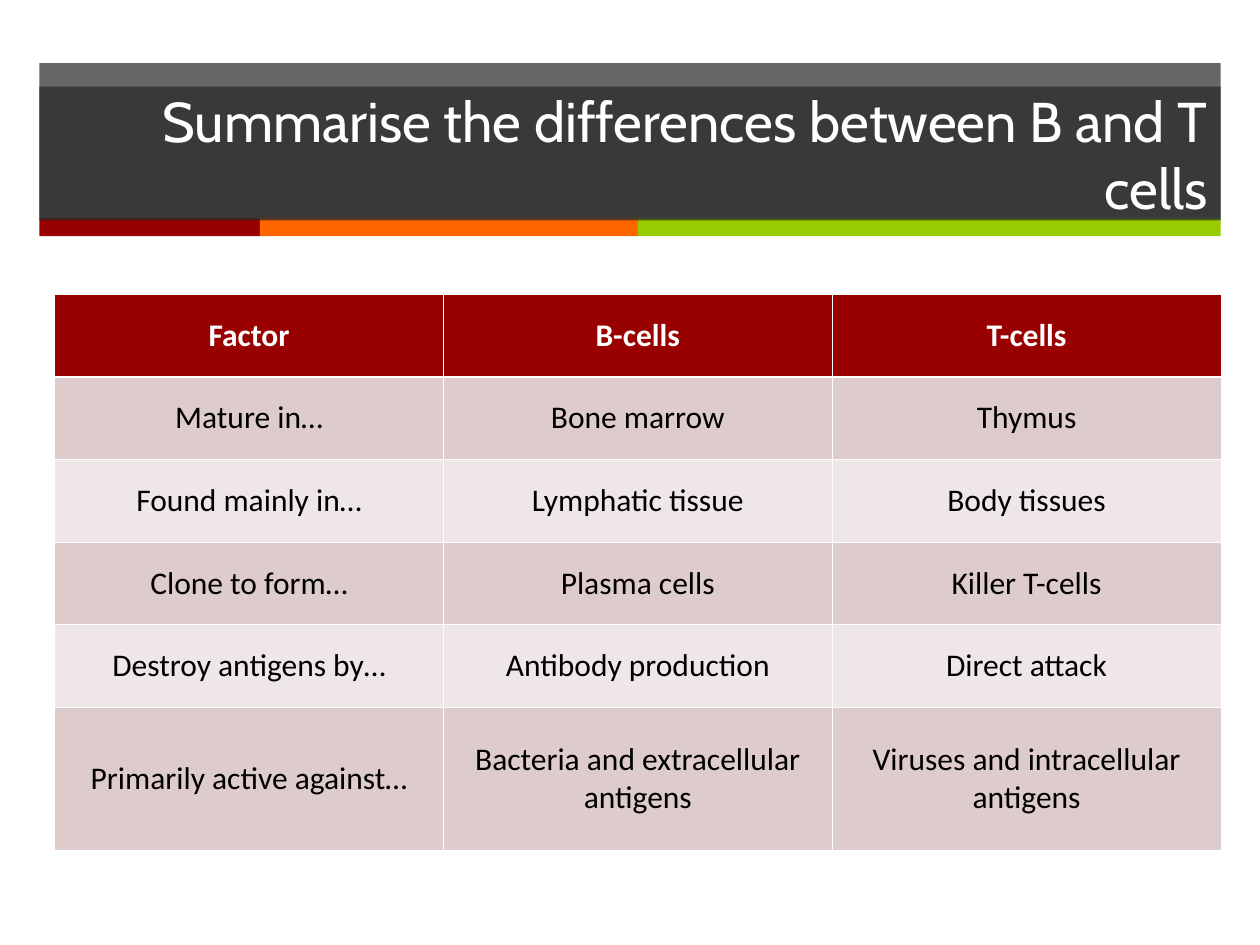
from lxml import etree
from pptx import Presentation
from pptx.dml.color import RGBColor
from pptx.enum.shapes import MSO_SHAPE
from pptx.enum.text import MSO_ANCHOR, PP_ALIGN
from pptx.oxml.ns import qn
from pptx.util import Pt

RECTANGLE = MSO_SHAPE.RECTANGLE
MIDDLE = MSO_ANCHOR.MIDDLE
CENTER, RIGHT = PP_ALIGN.CENTER, PP_ALIGN.RIGHT

WHITE = RGBColor(0xFF, 0xFF, 0xFF)
BLACK = RGBColor(0x00, 0x00, 0x00)
CHARCOAL = RGBColor(0x26, 0x26, 0x26)
RED = RGBColor(0x99, 0x00, 0x00)
ORANGE = RGBColor(0xFF, 0x66, 0x00)
GREEN = RGBColor(0x99, 0xCC, 0x00)
DARK_BAND = RGBColor(0xDE, 0xCB, 0xCB)
LIGHT_BAND = RGBColor(0xEF, 0xE7, 0xE7)

TITLE = "Summarise the differences between B and T cells"
COMPARISON = [
    ("Factor", "B-cells", "T-cells"),
    ("Mature in…", "Bone marrow", "Thymus"),
    ("Found mainly in…", "Lymphatic tissue", "Body tissues"),
    ("Clone to form…", "Plasma cells", "Killer T-cells"),
    ("Destroy antigens by…", "Antibody production", "Direct attack"),
    ("Primarily active against…", "Bacteria and extracellular antigens",
     "Viruses and intracellular antigens"),
]
THIN, THICK = 0.45, 1.47


def add_bar(slide, left, top, width, height, color, opacity=100):
    """Add a borderless rectangle; opacity is in percent."""
    bar = slide.shapes.add_shape(RECTANGLE, Pt(left), Pt(top), Pt(width), Pt(height))
    bar.shadow.inherit = False
    bar.line.fill.background()
    bar.fill.solid()
    bar.fill.fore_color.rgb = color
    if opacity < 100:
        srgb = bar.fill._xPr.find(f"{qn('a:solidFill')}/{qn('a:srgbClr')}")
        etree.SubElement(srgb, qn("a:alpha"), val=str(opacity * 1000))
    return bar


def style_text(text_frame, align, font_name, size, color, bold=False):
    paragraph = text_frame.paragraphs[0]
    paragraph.alignment = align
    font = paragraph.runs[0].font
    font.name = font_name
    font.size = Pt(size)
    font.color.rgb = color
    font.bold = bold


def add_title_banner(slide, left, top, width, height):
    """Stack two translucent panels, with a tricolour strip along their foot."""
    title_drop, strip_height = 13.5, 10.25
    strip_top = top + height - strip_height
    add_bar(slide, left, top, width, strip_top - top + 0.5, CHARCOAL, 70)

    strip_left = left
    for share, color in ((126, RED), (216, ORANGE), (333, GREEN)):
        strip_width = width * share / 675
        add_bar(slide, strip_left, strip_top, strip_width, strip_height, color)
        strip_left += strip_width

    title = add_bar(slide, left, top + title_drop, width,
                    strip_top - top - title_drop + 1.25, CHARCOAL, 70)
    title.text_frame.text = TITLE
    title.text_frame.word_wrap = True
    title.text_frame.vertical_anchor = MIDDLE
    style_text(title.text_frame, RIGHT, "Cabin", 32, WHITE)


def add_cell_borders(cell, top, bottom):
    """Draw white borders; must run before the cell is filled."""
    properties = cell._tc.get_or_add_tcPr()
    for side, width in (("L", THIN), ("R", THIN), ("T", top), ("B", bottom)):
        line = etree.SubElement(properties, qn(f"a:ln{side}"), w=str(Pt(width)))
        fill = etree.SubElement(line, qn("a:solidFill"))
        etree.SubElement(fill, qn("a:srgbClr"), val=str(WHITE))


def add_comparison_table(slide, left, top, width, height):
    row_count, column_count = len(COMPARISON), len(COMPARISON[0])
    row_height = 47.25
    table = slide.shapes.add_table(row_count, column_count, Pt(left), Pt(top),
                                   Pt(width), Pt(height)).table
    for column in table.columns:
        column.width = Pt(width / column_count)
    for row in table.rows:
        row.height = Pt(row_height)
    table.rows[row_count - 1].height = Pt(height - row_height * (row_count - 1))

    for r, entries in enumerate(COMPARISON):
        is_header = r == 0
        band = RED if is_header else DARK_BAND if r % 2 else LIGHT_BAND
        for c, entry in enumerate(entries):
            cell = table.cell(r, c)
            add_cell_borders(cell, THICK if r == 1 else THIN,
                             THICK if is_header else THIN)
            cell.fill.solid()
            cell.fill.fore_color.rgb = band
            cell.vertical_anchor = MIDDLE
            cell.text_frame.text = entry
            style_text(cell.text_frame, CENTER, "Calibri", 18,
                       WHITE if is_header else BLACK, is_header)


def main():
    presentation = Presentation()
    presentation.slide_width, presentation.slide_height = Pt(720), Pt(540)
    slide = presentation.slides.add_slide(presentation.slide_layouts[6])
    add_title_banner(slide, 22.5, 36, 675, 99)
    add_comparison_table(slide, 31.25, 168, 666.5, 317.75)
    presentation.save("out.pptx")


if __name__ == "__main__":
    main()
